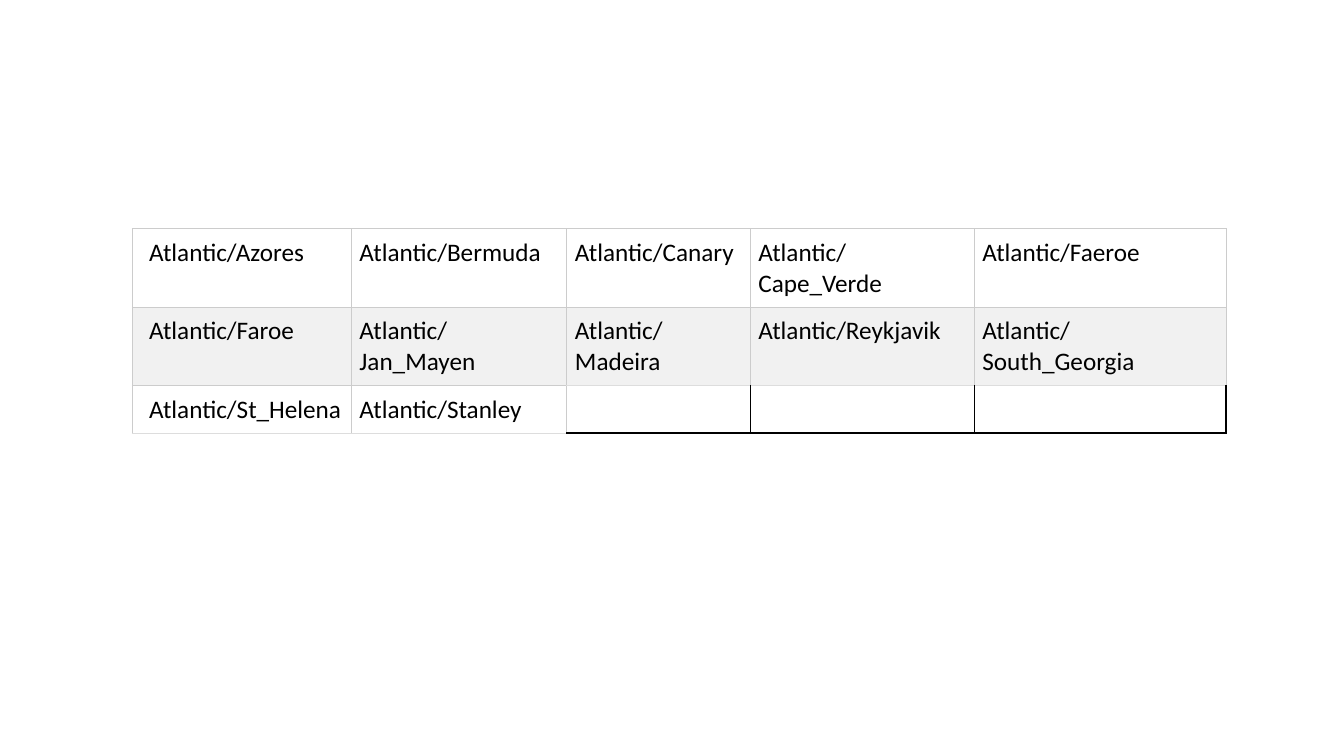
from dataclasses import dataclass

from lxml.etree import SubElement
from pptx import Presentation
from pptx.dml.color import RGBColor
from pptx.oxml.ns import qn
from pptx.table import _Cell as Cell
from pptx.util import Pt


@dataclass(frozen=True)
class Theme:
    font: str = "Calibri"
    size: float = 18
    ink: str = "000000"
    plain: str = "FFFFFF"
    band: str = "F1F1F1"
    rule: str = "CCCCCC"
    soft_rule: str = "DDDDDD"


@dataclass(frozen=True)
class Border:
    color: str
    width: float


THEME = Theme()
GRID = Border(THEME.rule, 0.75)
SOFT = Border(THEME.soft_rule, 0.75)
INNER = Border(THEME.ink, 0.75)
OUTER = Border(THEME.ink, 1.5)

LEFT, TOP = 94.5, 163.5
COLUMN_WIDTHS = (156.25, 154, 131, 160, 180)
ROW_HEIGHTS = (56, 56, 34)
INSET, FIRST_INSET = 6, 12
ZONES = (
    ("Azores", "Bermuda", "Canary", "Cape_Verde", "Faeroe"),
    ("Faroe", "Jan_Mayen", "Madeira", "Reykjavik", "South_Georgia"),
    ("St_Helena", "Stanley", "", "", ""),
)
LAST_ROW, LAST_COLUMN = len(ROW_HEIGHTS) - 1, len(COLUMN_WIDTHS) - 1


def zone_at(row: int, column: int) -> str:
    return ZONES[row][column] if row <= LAST_ROW and column <= LAST_COLUMN else ""


def vertical_border(row: int, edge: int) -> Border:
    if edge == 0 or zone_at(row, edge - 1):
        return GRID
    return OUTER if edge > LAST_COLUMN else INNER


def horizontal_border(edge: int, column: int) -> Border:
    if edge == 0 or zone_at(edge, column):
        return GRID
    return SOFT if zone_at(edge - 1, column) else OUTER


def draw_borders(cell: Cell, row: int, column: int) -> None:
    borders = {
        "a:lnL": vertical_border(row, column),
        "a:lnR": vertical_border(row, column + 1),
        "a:lnT": horizontal_border(row, column),
        "a:lnB": horizontal_border(row + 1, column),
    }
    properties = cell._tc.get_or_add_tcPr()
    for tag, border in borders.items():
        line = SubElement(properties, qn(tag), w=str(Pt(border.width)))
        fill = SubElement(line, qn("a:solidFill"))
        SubElement(fill, qn("a:srgbClr"), val=border.color)


def draw_cell(cell: Cell, row: int, column: int) -> None:
    cell.margin_left = Pt(INSET if column else FIRST_INSET)
    cell.margin_top = cell.margin_right = cell.margin_bottom = Pt(INSET)
    draw_borders(cell, row, column)
    zone = zone_at(row, column)
    if not zone:
        cell.fill.background()
        return
    cell.fill.solid()
    cell.fill.fore_color.rgb = RGBColor.from_string(THEME.band if row % 2 else THEME.plain)
    span = cell.text_frame.paragraphs[0].add_run()
    span.text = f"Atlantic/{zone}"
    span.font.name = THEME.font
    span.font.size = Pt(THEME.size)
    span.font.color.rgb = RGBColor.from_string(THEME.ink)


deck = Presentation()
deck.slide_width, deck.slide_height = Pt(960), Pt(540)
page = deck.slides.add_slide(deck.slide_layouts[6])
zone_table = page.shapes.add_table(
    len(ROW_HEIGHTS), len(COLUMN_WIDTHS),
    Pt(LEFT), Pt(TOP), Pt(sum(COLUMN_WIDTHS)), Pt(sum(ROW_HEIGHTS)),
).table
zone_table.first_row = zone_table.horz_banding = False
for table_column, width in zip(zone_table.columns, COLUMN_WIDTHS):
    table_column.width = Pt(width)
for row, height in enumerate(ROW_HEIGHTS):
    zone_table.rows[row].height = Pt(height)
    for column in range(len(COLUMN_WIDTHS)):
        draw_cell(zone_table.cell(row, column), row, column)
deck.save("out.pptx")
